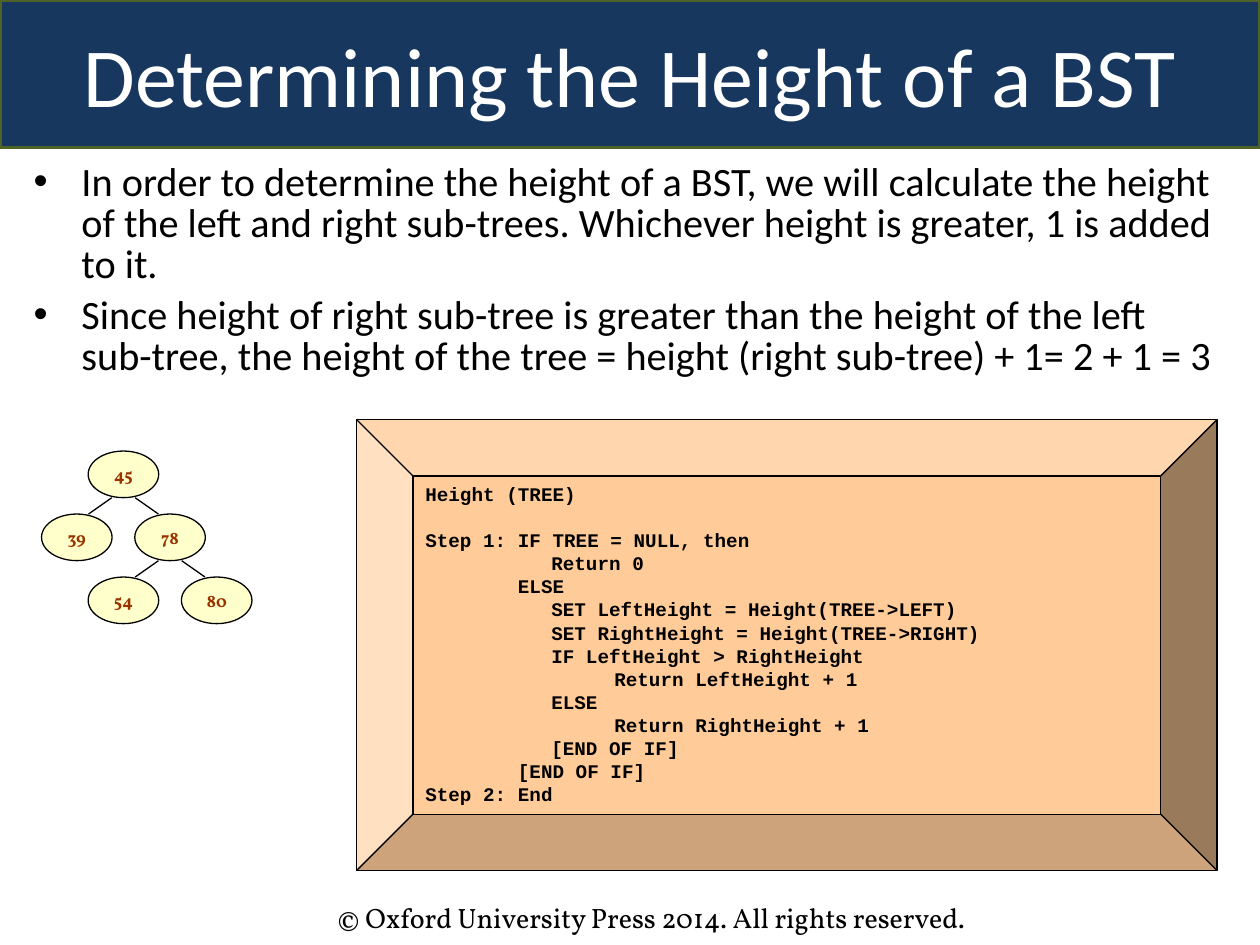
from pptx import Presentation, util as u
from pptx.dml.color import RGBColor
from pptx.enum import shapes as sh, text as tx
from pptx.oxml.ns import qn
from lxml import etree

WIDE, HIGH = 10, 7.5
HUES = {"navy": "17375E", "moss": "4F6228", "white": "FFFFFF", "black": "000000",
        "cream": "FFFFCC", "rust": "993300", "peach": "FFCC99"}
HEAD = {"size": u.Pt(48), "name": "Calibri"}
BODY = {"size": u.Pt(23), "name": "Calibri"}
NODE = {"size": u.Pt(10), "name": "Vollkorn", "bold": True}
CODE = {"size": u.Pt(11), "name": "Courier New", "bold": True}
FOOT = {"size": u.Pt(16), "name": "Vollkorn"}
LEFT, MID = tx.PP_ALIGN.LEFT, tx.PP_ALIGN.CENTER
TOP = tx.MSO_ANCHOR.TOP

COL, ROW = 0.37, 0.5
TREE_X, TREE_Y = 0.33, 3.58
OVAL_W, OVAL_H = 0.56, 0.37
NODES = {"45": (1, 0), "39": (0, 1), "78": (2, 1), "54": (1, 2), "80": (3, 2)}
EDGES = [("45", "39"), ("45", "78"), ("78", "54"), ("78", "80")]

POINTS = [
    "In order to determine the height of a BST, we will calculate the height of the "
    "left and right sub-trees. Whichever height is greater, 1 is added to it.",
    "Since height of right sub-tree is greater than the height of the left sub-tree, "
    "the height of the tree = height (right sub-tree) + 1= 2 + 1 = 3",
]
STEPS = [
    "Height (TREE)",
    "Step 1: IF TREE = NULL, then",
    "\t\tReturn 0",
    "        ELSE",
    "\t\tSET LeftHeight = Height(TREE->LEFT)",
    "\t\tSET RightHeight = Height(TREE->RIGHT)",
    "\t\tIF LeftHeight > RightHeight",
    "\t\t\tReturn LeftHeight + 1",
    "\t\tELSE",
    "\t\t\tReturn RightHeight + 1",
    "\t\t[END OF IF]",
    "        [END OF IF]",
    "Step 2: End",
]


def hue(name):
    return RGBColor.from_string(HUES[name])


def put(item, **vals):
    for key, val in vals.items():
        setattr(item, key, val)


def box(x, y, w, h):
    return [u.Inches(n) for n in (x, y, w, h)]


def place(item, x, y, w, h):
    put(item, **dict(zip(("left", "top", "width", "height"), box(x, y, w, h))))


def paint(item, fill, line, width):
    item.fill.solid()
    item.fill.fore_color.rgb = hue(fill)
    item.line.color.rgb = hue(line)
    item.line.width = u.Pt(width)


def write(item, lines, font, tint, anchor=TOP, wrap=True, **form):
    frame = item.text_frame
    put(frame, word_wrap=wrap, auto_size=tx.MSO_AUTO_SIZE.NONE, vertical_anchor=anchor)
    frame.text = "\n".join(lines)
    for para in frame.paragraphs:
        put(para, **form)
        put(para.font, **font)
        para.font.color.rgb = hue(tint)
    return frame.paragraphs


def shape(home, kind, spot, fill):
    item = home.add_shape(kind, *box(*spot))
    item.shadow.inherit = False
    paint(item, fill, "black", 0.75)
    return item


def edge(home, start, end):
    (pc, pr), (cc, cr) = NODES[start], NODES[end]
    side = 1 if cc > pc else -1
    mid = TREE_X + OVAL_W / 2
    ends = (mid + COL * (pc + side / 4), TREE_Y + ROW * pr + OVAL_H,
            mid + COL * (cc - side / 4), TREE_Y + ROW * cr)
    line = home.add_connector(sh.MSO_CONNECTOR.STRAIGHT, *box(*ends))
    line.line.color.rgb = hue("black")
    line.line.width = u.Pt(0.75)
    etree.SubElement(line._element.spPr, qn("a:effectLst"))


def tree(home):
    group = home.add_group_shape().shapes
    for start, end in EDGES:
        edge(group, start, end)
    for key, (col, row) in NODES.items():
        spot = (TREE_X + COL * col, TREE_Y + ROW * row, OVAL_W, OVAL_H)
        oval = shape(group, sh.MSO_SHAPE.OVAL, spot, "cream")
        write(oval, [key], NODE, "rust", wrap=False, alignment=MID)


def title(item):
    place(item, 0, 0, WIDE, 1.17)
    paint(item, "navy", "moss", 2)
    write(item, ["Determining the Height of a BST"], HEAD, "white",
          anchor=tx.MSO_ANCHOR.MIDDLE, alignment=MID)


def points(item):
    place(item, WIDE / 60, HIGH / 6, WIDE * 29 / 30, 2)
    paras = write(item, POINTS, BODY, "black", line_spacing=0.85, space_before=u.Pt(5.8))
    paras[0].space_before = u.Pt(0)
    for para in paras:
        props = para._p.get_or_add_pPr()
        props.set("marL", str(u.Inches(0.38)))
        props.set("indent", str(u.Inches(-0.38)))


def code(home):
    panel = shape(home, sh.MSO_SHAPE.BEVEL, (2.83, 3.33, 6.83, 3.58), "peach")
    pitch = u.Pt(13.2)
    paras = write(panel, STEPS, CODE, "black", alignment=LEFT, line_spacing=pitch)
    paras[1].space_before = pitch


def footer(home):
    item = home.add_textbox(*box(2.58, 7.1, 5.92, 0.37))
    write(item, ["© Oxford University Press 2014. All rights reserved."], FOOT, "black")


def main():
    deck = Presentation()
    put(deck, slide_width=u.Inches(WIDE), slide_height=u.Inches(HIGH))
    page = deck.slides.add_slide(deck.slide_layouts[1])
    title(page.shapes.title)
    points(page.placeholders[1])
    tree(page.shapes)
    code(page.shapes)
    footer(page.shapes)
    deck.save("out.pptx")


if __name__ == "__main__":
    main()
